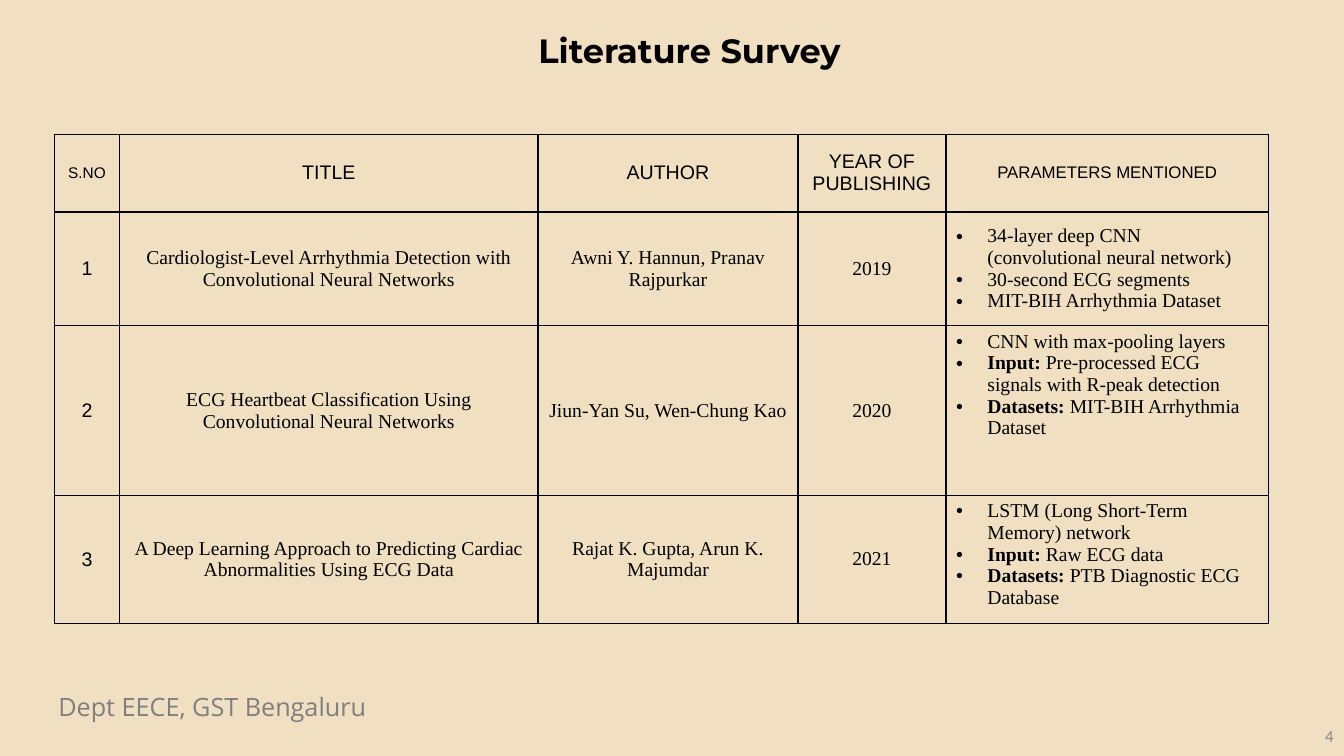
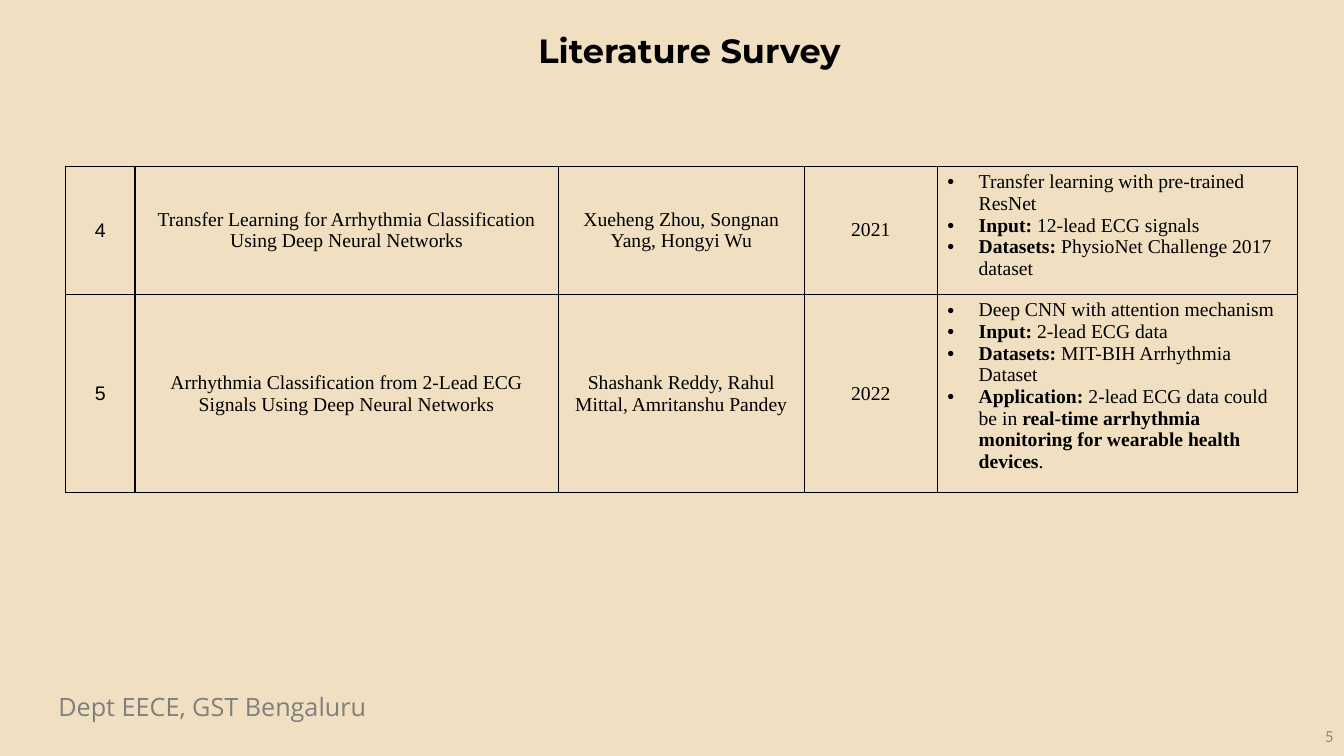
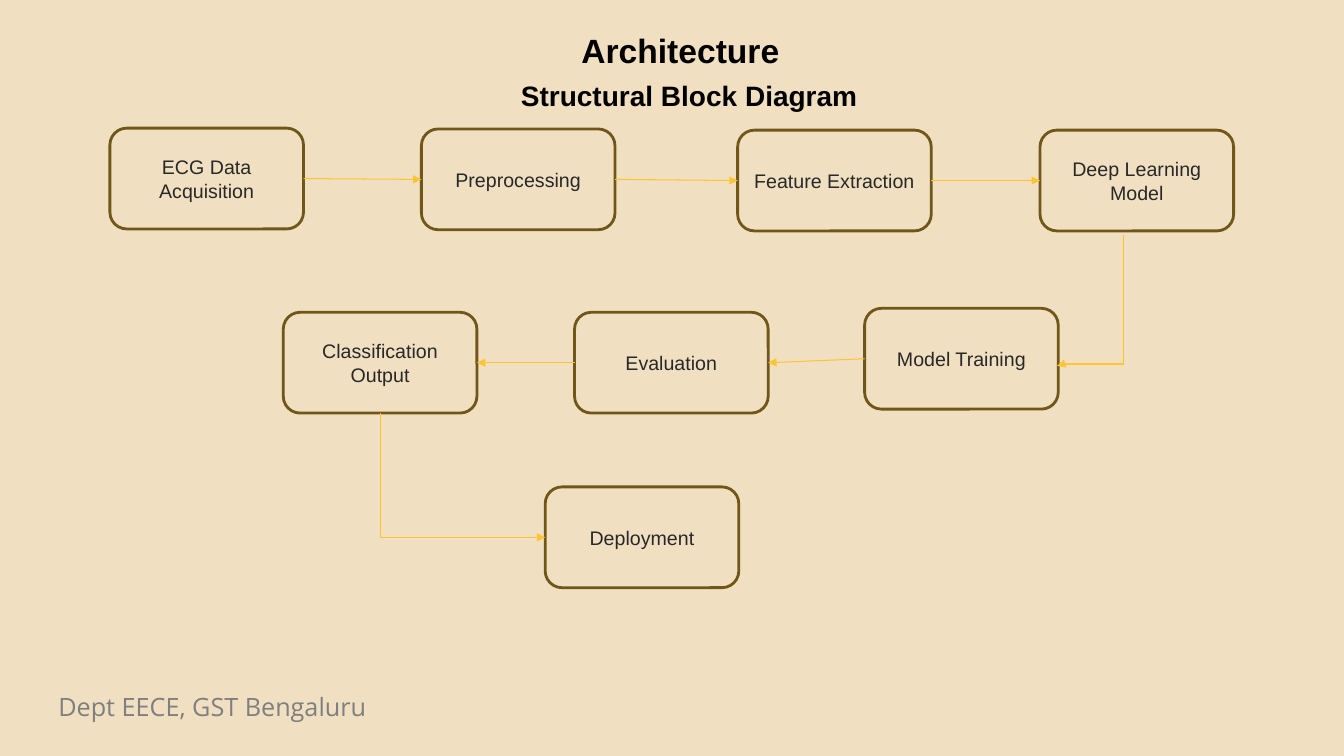
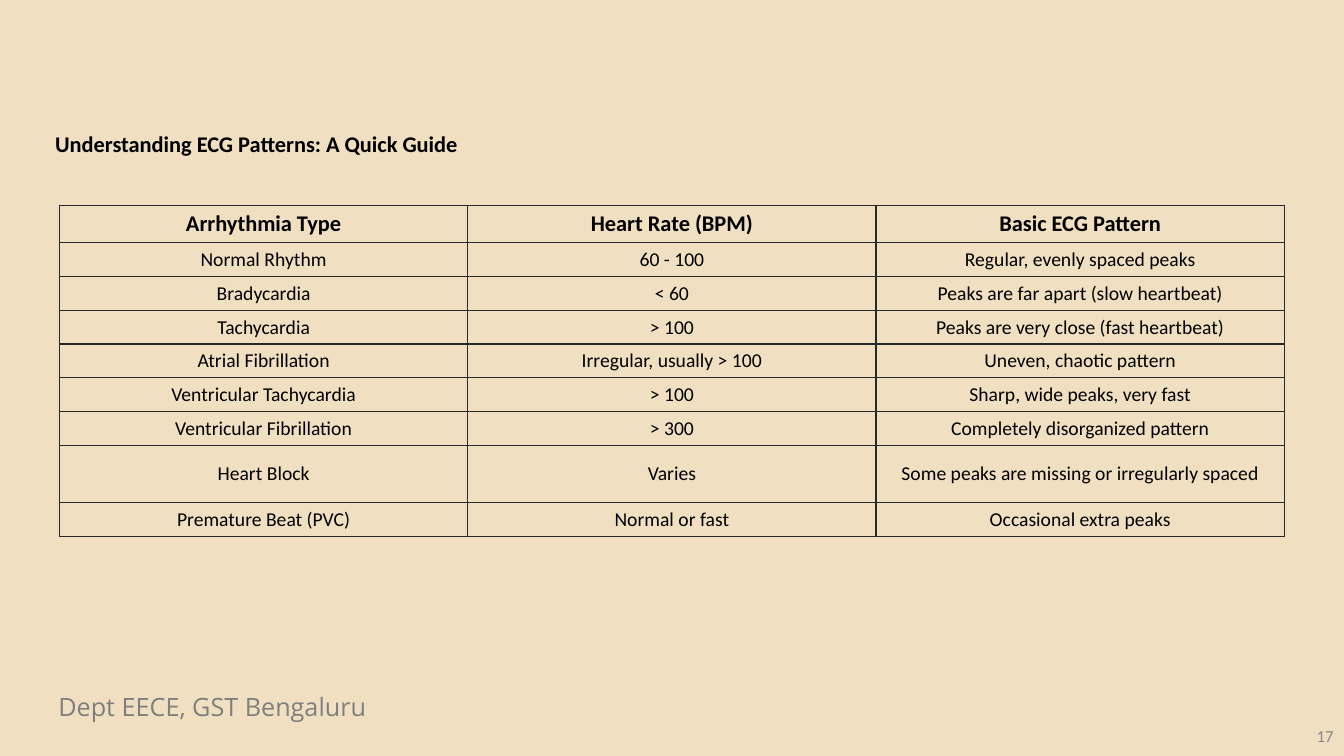
from lxml import etree
from pptx import Presentation
from pptx.dml.color import RGBColor
from pptx.enum.shapes import MSO_CONNECTOR, MSO_SHAPE
from pptx.enum.text import MSO_ANCHOR, PP_ALIGN
from pptx.oxml.ns import qn
from pptx.util import Cm, Pt

LEFT, MID, RIGHT = PP_ALIGN.LEFT, PP_ALIGN.CENTER, PP_ALIGN.RIGHT
TOP, CENTER = MSO_ANCHOR.TOP, MSO_ANCHOR.MIDDLE
ROUND = MSO_SHAPE.ROUNDED_RECTANGLE
STRAIGHT, ELBOW = MSO_CONNECTOR.STRAIGHT, MSO_CONNECTOR.ELBOW

SAND, BLACK, DARK = "F0E0C1", "000000", "282828"
GREY, PALE, BROWN, GOLD = "7F7F7F", "888888", "705719", "FEC433"
SANS, SERIF, BODY = "Arial", "Times New Roman", "Calibri"

FOOTER = "Dept EECE, GST Bengaluru"
SURVEY = "Literature Survey"
HEADS = [("S.NO", 11), ("TITLE", 14), ("AUTHOR", 14),
         ("YEAR OF PUBLISHING", 14), ("PARAMETERS MENTIONED", 12)]
PAPERS = [
    ("1", "Cardiologist-Level Arrhythmia Detection with Convolutional Neural Networks",
     "Awni Y. Hannun, Pranav Rajpurkar", "2019",
     ["34-layer deep CNN (convolutional neural network)",
      "30-second ECG segments",
      "MIT-BIH Arrhythmia Dataset"]),
    ("2", "ECG Heartbeat Classification Using Convolutional Neural Networks",
     "Jiun-Yan Su, Wen-Chung Kao", "2020",
     ["CNN with max-pooling layers",
      "**Input:** Pre-processed ECG signals with R-peak detection",
      "**Datasets:** MIT-BIH Arrhythmia Dataset"]),
    ("3", "A Deep Learning Approach to Predicting Cardiac Abnormalities Using ECG Data",
     "Rajat K. Gupta, Arun K. Majumdar", "2021",
     ["LSTM (Long Short-Term Memory) network",
      "**Input:** Raw ECG data",
      "**Datasets:** PTB Diagnostic ECG Database"]),
    ("4", "Transfer Learning for Arrhythmia Classification Using Deep Neural Networks",
     "Xueheng Zhou, Songnan Yang, Hongyi Wu", "2021",
     ["Transfer learning with pre-trained ResNet",
      "**Input:** 12-lead ECG signals",
      "**Datasets:** PhysioNet Challenge 2017 dataset"]),
    ("5", "Arrhythmia Classification from 2-Lead ECG Signals Using Deep Neural Networks",
     "Shashank Reddy, Rahul Mittal, Amritanshu Pandey", "2022",
     ["Deep CNN with attention mechanism",
      "**Input:** 2-lead ECG data",
      "**Datasets:** MIT-BIH Arrhythmia Dataset",
      "**Application: **2-lead ECG data could be in **real-time arrhythmia "
      "monitoring for wearable health devices**."]),
]
STEPS = [
    ("ECG Data Acquisition", 2.77, 3.23),
    ("Preprocessing", 10.62, 3.25),
    ("Feature Extraction", 18.59, 3.28),
    ("Deep Learning Model", 26.21, 3.28),
    ("Model Training", 21.79, 7.77),
    ("Evaluation", 14.48, 7.87),
    ("Classification Output", 7.14, 7.87),
    ("Deployment", 13.74, 12.27),
]
WEST, SOUTH, EAST = 1, 2, 3
LINKS = [(0, EAST, 1, WEST), (1, EAST, 2, WEST), (2, EAST, 3, WEST),
         (4, WEST, 5, EAST), (5, WEST, 6, EAST)]
RHYTHMS = [
    ("Arrhythmia Type", "Heart Rate (BPM)", "Basic ECG Pattern"),
    ("Normal Rhythm", "60 - 100", "Regular, evenly spaced peaks"),
    ("Bradycardia", "< 60", "Peaks are far apart (slow heartbeat)"),
    ("Tachycardia", "> 100", "Peaks are very close (fast heartbeat)"),
    ("Atrial Fibrillation", "Irregular, usually > 100", "Uneven, chaotic pattern"),
    ("Ventricular Tachycardia", "> 100", "Sharp, wide peaks, very fast"),
    ("Ventricular Fibrillation", "> 300", "Completely disorganized pattern"),
    ("Heart Block", "Varies", "Some peaks are missing or irregularly spaced"),
    ("Premature Beat (PVC)", "Normal or fast", "Occasional extra peaks"),
]


def color(code):
    return RGBColor.from_string(code)


def style(par, size, font, tint=BLACK, align=LEFT, bold=False):
    par.alignment = align
    for run in par.runs:
        run.font.size, run.font.name, run.font.bold = Pt(size), font, bold
        run.font.color.rgb = color(tint)


def label(slide, text, left, top, wide, high, *look, anchor=TOP):
    frame = slide.shapes.add_textbox(Cm(left), Cm(top), Cm(wide), Cm(high)).text_frame
    frame.word_wrap = True
    frame.vertical_anchor = anchor
    frame.text = text
    style(frame.paragraphs[0], *look)


def page(deck, number=None):
    slide = deck.slides.add_slide(deck.slide_layouts[6])
    label(slide, FOOTER, 1.22, 17.3, 13.31, 1.02, 18, "Open Sans", GREY)
    if number:
        label(slide, number, 26.24, 18.03, 7.62, 1.02, 12, BODY, PALE, RIGHT, anchor=CENTER)
    return slide


def title(slide, text, font, left=2.77):
    label(slide, text, left, 0.64, 29.21, 1.37, 24, font, BLACK, MID, True)


def border(cell, tint):
    props = cell._tc.get_or_add_tcPr()
    for side in ("a:lnL", "a:lnR", "a:lnT", "a:lnB"):
        line = etree.SubElement(props, qn(side), w=str(Pt(1)))
        fill = etree.SubElement(line, qn("a:solidFill"))
        etree.SubElement(fill, qn("a:srgbClr"), val=tint)


def grid(slide, left, top, cols, rows, tint):
    table = slide.shapes.add_table(len(rows), len(cols), Cm(left), Cm(top),
                                   Cm(sum(cols)), Cm(sum(rows))).table
    table.first_row = table.horz_banding = False
    for col, wide in zip(table.columns, cols):
        col.width = Cm(wide)
    for row, high in zip(table.rows, rows):
        row.height = Cm(high)
    for cell in table.iter_cells():
        border(cell, tint)
        cell.fill.background()
        cell.vertical_anchor = CENTER
    return table


def write(cell, text, size, font, bold=False):
    cell.text_frame.text = text
    style(cell.text_frame.paragraphs[0], size, font, BLACK, MID, bold)


def bullets(cell, items):
    frame = cell.text_frame
    for i, item in enumerate(items):
        par = frame.add_paragraph() if i else frame.paragraphs[0]
        parts = item.split("**")
        for part in parts:
            par.add_run().text = part
        style(par, 14, SERIF)
        for k, run in enumerate(par.runs):
            run.font.bold = k % 2 == 1
            if not parts[k]:
                par._p.remove(run._r)
        props = par._p.get_or_add_pPr()
        props.set("marL", str(Cm(0.79)))
        props.set("indent", str(-Cm(0.79)))
        etree.SubElement(props, qn("a:buFont"), typeface=SANS)
        etree.SubElement(props, qn("a:buChar"), char="•")


def fill(table, papers, first=0):
    for r, paper in enumerate(papers, first):
        for c, text in enumerate(paper[:-1]):
            write(table.cell(r, c), text, 14, SERIF if c else SANS)
        cell = table.cell(r, 4)
        bullets(cell, paper[-1])
        cell.vertical_anchor = CENTER if paper[0] == "1" else TOP


def block(slide, text, left, top):
    box = slide.shapes.add_shape(ROUND, Cm(left), Cm(top), Cm(4.88), Cm(2.54))
    box.shadow.inherit = False
    box.fill.background()
    box.line.color.rgb = color(BROWN)
    box.line.width = Pt(2)
    frame = box.text_frame
    frame.word_wrap = True
    frame.vertical_anchor = CENTER
    frame.text = text
    style(frame.paragraphs[0], 14, SANS, DARK, MID)
    return box


def arrow(slide, kind, *ends):
    link = slide.shapes.add_connector(kind, *[Cm(end) for end in ends or (0, 0, 0, 0)])
    link.line.color.rgb = color(GOLD)
    link.line.width = Pt(0.75)
    etree.SubElement(link.line._get_or_add_ln(), qn("a:tailEnd"), type="triangle")
    etree.SubElement(link._element.spPr, qn("a:effectLst"))
    return link


def glue(link, start, out, end, into):
    link.begin_connect(start, out)
    link.end_connect(end, into)


def bend(link, preset, adjust=None):
    over, down = link.end_x - link.begin_x, link.end_y - link.begin_y
    mid_x, mid_y = (link.begin_x + link.end_x) // 2, (link.begin_y + link.end_y) // 2
    wide, high = abs(down), abs(over)
    link.left, link.top = mid_x - wide // 2, mid_y - high // 2
    link.width, link.height = wide, high
    props = link._element.spPr
    frame = props.find(qn("a:xfrm"))
    frame.set("rot", str((90 if over < 0 else 270) * 60000))
    frame.set("flipH", "0" if over < 0 else "1")
    shape = props.find(qn("a:prstGeom"))
    shape.set("prst", preset)
    if adjust:
        guides = shape.find(qn("a:avLst"))
        if guides is None:
            guides = etree.SubElement(shape, qn("a:avLst"))
        etree.SubElement(guides, qn("a:gd"), name="adj1", fmla=f"val {adjust}")


def survey(deck):
    slide = page(deck, "4")
    title(slide, SURVEY, "Montserrat")
    table = grid(slide, 1.37, 3.38, [1.65, 10.54, 6.55, 3.73, 8.13],
                 [1.96, 2.87, 4.27, 3.23], BLACK)
    for c, (text, size) in enumerate(HEADS):
        write(table.cell(0, c), text, size, SANS)
    fill(table, PAPERS[:3], 1)

    slide = page(deck, "5")
    title(slide, SURVEY, "Montserrat")
    table = grid(slide, 1.65, 4.19, [1.75, 10.67, 6.2, 3.35, 9.07], [3.23, 5], BLACK)
    fill(table, PAPERS[3:])


def diagram(deck):
    slide = page(deck)
    title(slide, "Architecture", SANS, 2.54)
    label(slide, "Structural Block Diagram", 9.37, 1.85, 16, 1.37, 20, SANS, BLACK, MID, True)
    boxes = [block(slide, *step) for step in STEPS]
    for start, out, end, into in LINKS:
        glue(arrow(slide, STRAIGHT), boxes[start], out, boxes[end], into)
    bend(arrow(slide, ELBOW, 28.32, 5.92, 26.64, 9.22), "bentConnector3", 98600)
    last = arrow(slide, ELBOW)
    glue(last, boxes[6], SOUTH, boxes[7], WEST)
    bend(last, "bentConnector2")


def guide(deck):
    slide = page(deck, "17")
    rows = [0.94] + [0.85] * 6 + [1.45, 0.85]
    table = grid(slide, 1.5, 5.18, [10.29] * 3, rows, DARK)
    for r, row in enumerate(RHYTHMS):
        for c, text in enumerate(row):
            write(table.cell(r, c), text, 14 if r else 16, BODY, r == 0)
    label(slide, "Understanding ECG Patterns: A Quick Guide",
          1.14, 3.15, 11.48, 0.94, 16, BODY, BLACK, LEFT, True)


def main():
    deck = Presentation()
    deck.slide_width, deck.slide_height = Cm(33.87), Cm(19.05)
    back = deck.slide_master.background.fill
    back.solid()
    back.fore_color.rgb = color(SAND)
    survey(deck)
    diagram(deck)
    guide(deck)
    deck.save("out.pptx")


if __name__ == "__main__":
    main()
